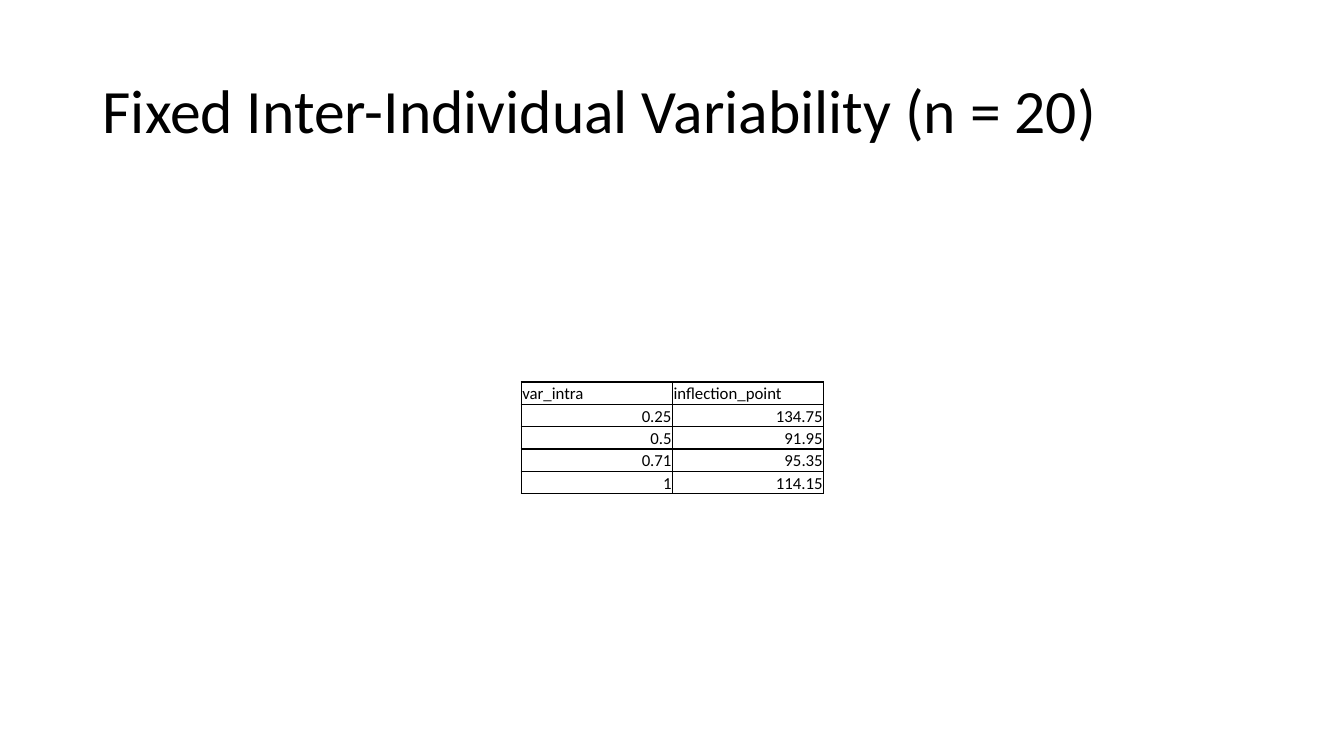
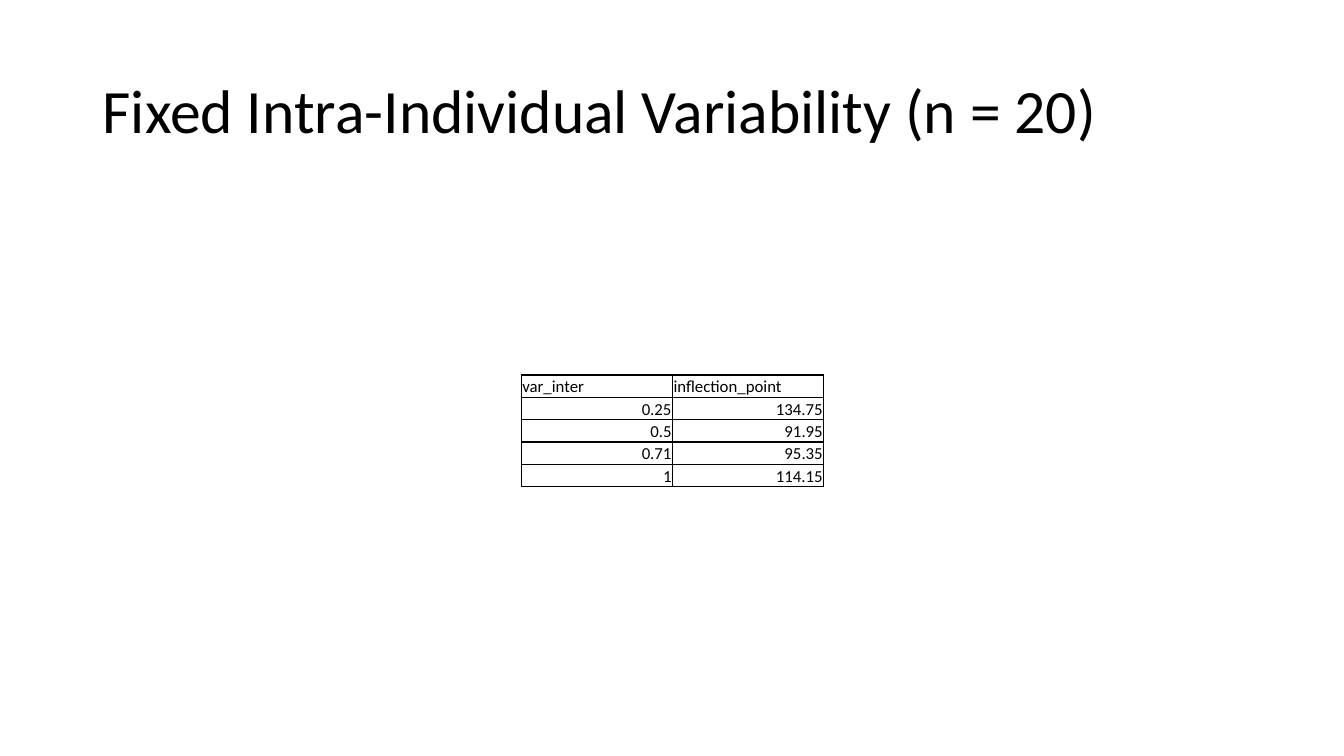
from lxml import etree
from pptx import Presentation
from pptx.dml.color import RGBColor
from pptx.enum.text import MSO_ANCHOR, PP_ALIGN
from pptx.oxml.ns import qn
from pptx.util import Inches, Pt

MIDDLE, BOTTOM = MSO_ANCHOR.MIDDLE, MSO_ANCHOR.BOTTOM
LEFT, RIGHT = PP_ALIGN.LEFT, PP_ALIGN.RIGHT

SLIDE_W, SLIDE_H = 13.33, 7.5
FONT = "Calibri"
INK = "000000"
TITLE_BOX = (0.92, 0.4, 11.5, 1.45)
TABLE_LEFT, COLUMN_W, ROW_H = 5.17, 1.5, 0.222
CELL_INSET = 0.01

INFLECTION_POINTS = [
    ("0.25", "134.75"),
    ("0.5", "91.95"),
    ("0.71", "95.35"),
    ("1", "114.15"),
]
SLIDES = [
    ("Fixed Inter-Individual Variability (n = 20)", "var_intra", 3.79),
    ("Fixed Intra-Individual Variability (n = 20)", "var_inter", 3.72),
]


def rgb(color):
    return RGBColor.from_string(color)


def write(tf, text, size, align=LEFT):
    tf.text = text
    p = tf.paragraphs[0]
    p.alignment = align
    font = p.runs[0].font
    font.name, font.size = FONT, Pt(size)
    font.color.rgb = rgb(INK)
    return p


def add_title(s, text):
    tf = s.shapes.add_textbox(*map(Inches, TITLE_BOX)).text_frame
    tf.word_wrap = True
    tf.vertical_anchor = MIDDLE
    write(tf, text, 44).line_spacing = 0.9


def add_borders(cell, color, width):
    tc_pr = cell._tc.get_or_add_tcPr()
    for i, side in enumerate(("lnL", "lnR", "lnT", "lnB")):
        line = etree.Element(qn("a:" + side), w=str(Pt(width)))
        fill = etree.SubElement(line, qn("a:solidFill"))
        etree.SubElement(fill, qn("a:srgbClr"), val=color)
        tc_pr.insert(i, line)


def format_cell(cell, text, align):
    write(cell.text_frame, text, 12, align)
    cell.vertical_anchor = BOTTOM
    cell.margin_left = cell.margin_right = cell.margin_top = Inches(CELL_INSET)
    cell.margin_bottom = 0
    cell.fill.background()
    add_borders(cell, INK, 1)


def add_data_table(s, rows, top):
    n_rows, n_cols = len(rows), len(rows[0])
    table = s.shapes.add_table(
        n_rows, n_cols, Inches(TABLE_LEFT), Inches(top),
        Inches(n_cols * COLUMN_W), Inches(n_rows * ROW_H)).table
    table.first_row = table.horz_banding = False
    for i, row in enumerate(rows):
        for j, text in enumerate(row):
            format_cell(table.cell(i, j), text, RIGHT if i else LEFT)


def main():
    prs = Presentation()
    prs.slide_width, prs.slide_height = Inches(SLIDE_W), Inches(SLIDE_H)
    for title, variable, top in SLIDES:
        s = prs.slides.add_slide(prs.slide_layouts[6])
        add_title(s, title)
        add_data_table(s, [(variable, "inflection_point"), *INFLECTION_POINTS], top)
    prs.save("out.pptx")


if __name__ == "__main__":
    main()
